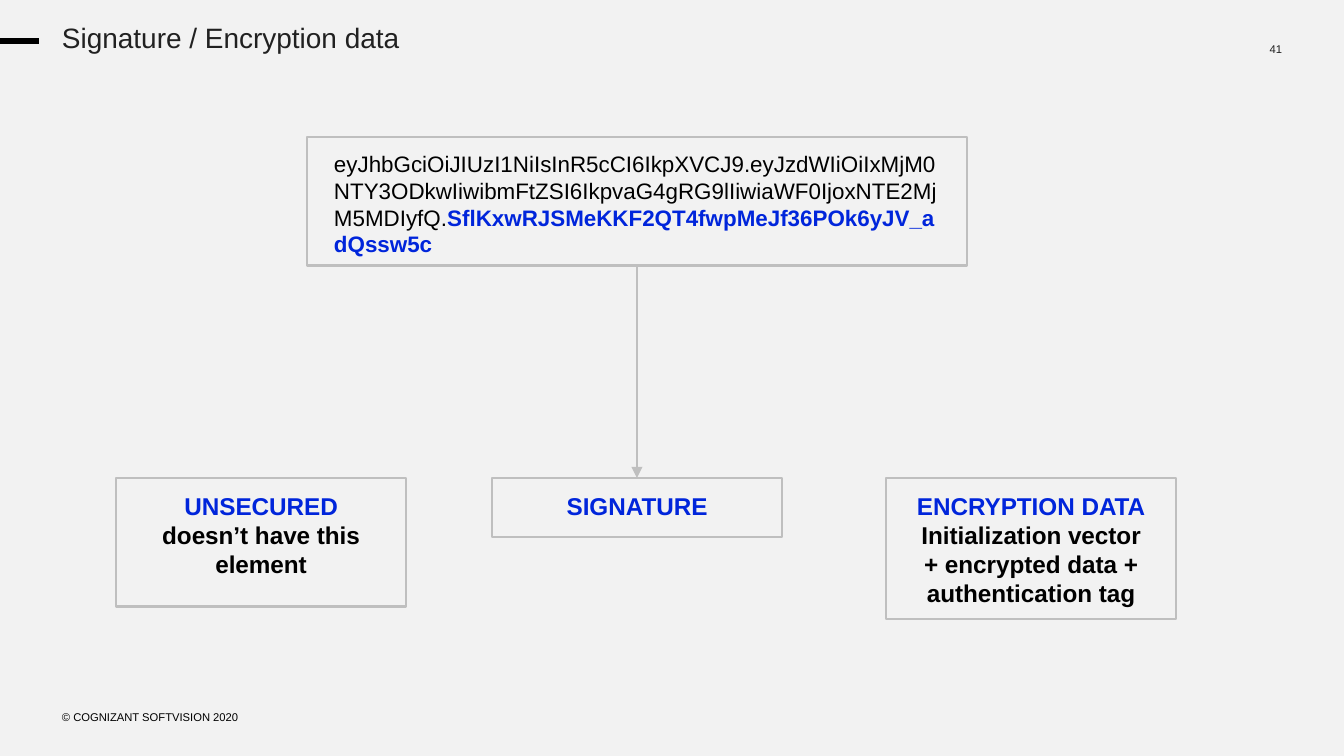
from dataclasses import dataclass

from lxml import etree
from pptx import Presentation
from pptx import util as u
from pptx.dml.color import RGBColor
from pptx.enum import shapes, text
from pptx.oxml.ns import qn

SCALE = 914400 / 134.4


@dataclass(frozen=True)
class Theme:
    """Colours, font and type sizes of the slide."""
    font: str = "Arial"
    background: str = "F2F2F2"
    ink: str = "212121"
    black: str = "000000"
    accent: str = "0025DB"
    border: str = "BFBFBF"
    title: int = 15
    label: int = 13
    token: int = 12
    small: int = 6


THEME = Theme()


def px(n):
    """Turn whole px into EMU."""
    return u.Emu(round(n * SCALE))


def rgb(value):
    """Turn a hex string into a colour."""
    return RGBColor.from_string(value)


def set_frame(tf, insets, anchor=text.MSO_ANCHOR.TOP):
    """Wrap a text frame and set its insets and anchor."""
    tf.word_wrap = True
    tf.vertical_anchor = anchor
    tf.margin_left, tf.margin_top, tf.margin_right, tf.margin_bottom = map(px, insets)


def style(p, size, color, align=text.PP_ALIGN.LEFT, bold=False):
    """Set the font and alignment of a paragraph."""
    p.alignment = align
    p.font.name = THEME.font
    p.font.size = u.Pt(size)
    p.font.bold = bold
    p.font.color.rgb = rgb(color)


def add_text(slide, box, words, size, color, align=text.PP_ALIGN.LEFT,
             anchor=text.MSO_ANCHOR.TOP):
    """Add a one-paragraph text box and return its paragraph."""
    tf = slide.shapes.add_textbox(*map(px, box)).text_frame
    set_frame(tf, (0, 0, 0, 0), anchor)
    p = tf.paragraphs[0]
    p.add_run().text = words
    style(p, size, color, align)
    return p


def add_box(slide, box):
    """Add an outlined rectangle and return its text frame."""
    sp = slide.shapes.add_shape(shapes.MSO_SHAPE.RECTANGLE, *map(px, box))
    sp.shadow.inherit = False
    sp.fill.background()
    sp.line.color.rgb = rgb(THEME.border)
    sp.line.width = u.Pt(1.5)
    set_frame(sp.text_frame, (27, 13, 27, 0))
    return sp.text_frame


def add_token(slide, box, payload, signature):
    """Add the token box with its signature emphasised."""
    p = add_box(slide, box).paragraphs[0]
    style(p, THEME.token, THEME.black)
    p.add_run().text = payload
    r = p.add_run()
    r.text = signature
    r.font.bold = True
    r.font.color.rgb = rgb(THEME.accent)


def add_label(slide, box, heading, detail):
    """Add a box with a heading and an optional detail below it."""
    tf = add_box(slide, box)
    for i, (words, color) in enumerate(((heading, THEME.accent), (detail, THEME.black))):
        if words:
            p = tf.add_paragraph() if i else tf.paragraphs[0]
            p.add_run().text = words
            style(p, THEME.label, color, text.PP_ALIGN.CENTER, bold=True)


def add_line(slide, start, end, color, width, arrow=False):
    """Add a straight line, with an arrowhead at its end if asked."""
    line = slide.shapes.add_connector(shapes.MSO_CONNECTOR.STRAIGHT, *map(px, start + end))
    line.line.color.rgb = rgb(color)
    line.line.width = u.Pt(width)
    if arrow:
        etree.SubElement(line.line._get_or_add_ln(), qn("a:tailEnd"), type="triangle")
    etree.SubElement(line._element.spPr, qn("a:effectLst"))


def main():
    """Build the slide and save it."""
    prs = Presentation()
    prs.slide_width, prs.slide_height = px(1344), px(756)
    slide = prs.slides.add_slide(prs.slide_layouts[6])
    slide.background.fill.solid()
    slide.background.fill.fore_color.rgb = rgb(THEME.background)

    add_text(slide, (1202, 42, 80, 58), "41", THEME.small, THEME.ink, text.PP_ALIGN.RIGHT)
    add_text(slide, (62, 706, 298, 21), "© COGNIZANT SOFTVISION 2020", THEME.small,
             THEME.black, anchor=text.MSO_ANCHOR.MIDDLE)
    title = add_text(slide, (62, 24, 610, 32), "Signature / Encryption data",
                     THEME.title, THEME.ink)
    title.line_spacing = 0.9
    add_line(slide, (0, 41), (39, 41), THEME.black, 3)

    add_token(
        slide, (307, 137, 660, 129),
        "eyJhbGciOiJIUzI1NiIsInR5cCI6IkpXVCJ9.eyJzdWIiOiIxMjM0NTY3ODkwIiwibmFtZSI6"
        "IkpvaG4gRG9lIiwiaWF0IjoxNTE2MjM5MDIyfQ.",
        "SflKxwRJSMeKKF2QT4fwpMeJf36POk6yJV_adQssw5c")
    add_line(slide, (637, 266), (637, 478), THEME.border, 1.5, arrow=True)

    labels = (
        (116, 129, "UNSECURED", "doesn’t have this element"),
        (492, 59, "SIGNATURE", ""),
        (886, 141, "ENCRYPTION DATA",
         "Initialization vector + encrypted data + authentication tag"),
    )
    for left, height, heading, detail in labels:
        add_label(slide, (left, 478, 290, height), heading, detail)

    prs.save("out.pptx")


if __name__ == "__main__":
    main()
